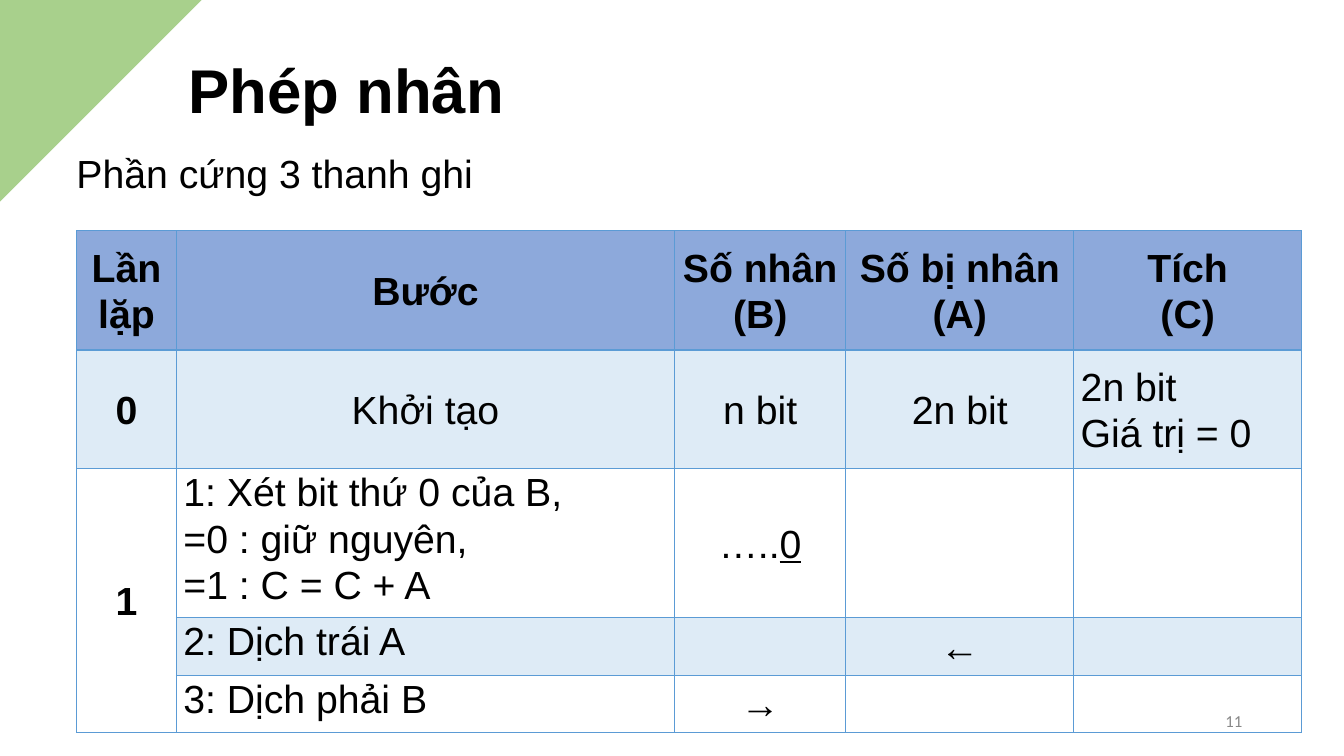
"""Build the slide on multiplication with three registers."""
from dataclasses import dataclass

from lxml import etree
from pptx import Presentation, dml, util as u
from pptx.dml import color
from pptx.enum import text
from pptx.oxml import ns

ALIGN = text.PP_ALIGN
ANCHOR = text.MSO_ANCHOR


@dataclass(frozen=True)
class Theme:
    font: str = "Arial"
    number_font: str = "Calibri"
    ink: str = "000000"
    muted: str = "888888"
    corner: str = "A8D08C"
    header: str = "8DA9DB"
    accent: str = "5B9BD5"
    band_opacity: int = 20
    title_size: float = 44.1
    body_size: float = 28
    number_size: float = 12


@dataclass(frozen=True)
class Entry:
    words: str = ""
    bold: bool = False
    underlined: str = ""
    align: ALIGN = ALIGN.CENTER
    anchor: ANCHOR = ANCHOR.MIDDLE


@dataclass(frozen=True)
class Row:
    height: float
    entries: tuple[Entry, ...]
    fill: str = ""
    opacity: int = 100


THEME = Theme()


def heading(words: str) -> Entry:
    return Entry(words, bold=True)


def step(words: str) -> Entry:
    return Entry(words, align=ALIGN.JUSTIFY, anchor=ANCHOR.TOP)


BLANK = Entry()
COLUMNS = (0.99, 4.94, 1.7, 2.26, 2.26)
ROWS = (
    Row(1.18, (heading("Lần lặp"), heading("Bước"), heading("Số nhân (B)"),
               heading("Số bị nhân\n(A)"), heading("Tích\n(C)")), THEME.header),
    Row(1.18, (heading("0"), Entry("Khởi tạo"), Entry("n bit"), Entry("2n bit"),
               Entry("2n bit\nGiá trị = 0", align=ALIGN.JUSTIFY)),
        THEME.accent, THEME.band_opacity),
    Row(1.48, (heading("1"),
               step("1: Xét bit thứ 0 của B,\n=0 : giữ nguyên,\n=1 : C = C + A"),
               Entry("…..", underlined="0"), BLANK, BLANK)),
    Row(0.57, (BLANK, step("2: Dịch trái A"), BLANK, Entry("←"), BLANK),
        THEME.accent, THEME.band_opacity),
    Row(0.57, (BLANK, step("3: Dịch phải B"), Entry("→"), BLANK, BLANK)),
)


def write(frame, words: str, *, size: float = THEME.body_size, font: str = THEME.font,
          ink: str = THEME.ink, bold: bool = False, underlined: str = "",
          align: ALIGN = ALIGN.LEFT, spacing: float = 1.0) -> None:
    frame.word_wrap = True
    for index, line in enumerate(words.split("\n")):
        para = frame.add_paragraph() if index else frame.paragraphs[0]
        para.alignment = align
        para.line_spacing = spacing
        for part in filter(None, (line, underlined)):
            span = para.add_run()
            span.text = part
            span.font.name = font
            span.font.size = u.Pt(size)
            span.font.bold = bold
            span.font.underline = part == underlined
            span.font.color.rgb = color.RGBColor.from_string(ink)


def add_label(page, left: float, top: float, width: float, height: float,
              words: str, anchor: ANCHOR = ANCHOR.TOP, **style) -> None:
    box = page.shapes.add_textbox(*map(u.Inches, (left, top, width, height)))
    box.text_frame.vertical_anchor = anchor
    write(box.text_frame, words, **style)


def add_corner(page) -> None:
    builder = page.shapes.build_freeform(-0.05, -0.05, scale=u.Inches(1))
    builder.add_line_segments([(-0.05, 1.83), (1.67, -0.05)], close=True)
    corner = builder.convert_to_shape()
    corner.shadow.inherit = False
    corner.fill.solid()
    corner.fill.fore_color.rgb = color.RGBColor.from_string(THEME.corner)
    corner.line.fill.background()


def set_borders(cell, top: float, bottom: float) -> None:
    properties = cell._tc.get_or_add_tcPr()
    for side, points in (("L", 1), ("R", 1), ("T", top), ("B", bottom)):
        line = etree.SubElement(properties, ns.qn(f"a:ln{side}"), w=str(u.Pt(points)))
        paint = etree.SubElement(line, ns.qn("a:solidFill"))
        etree.SubElement(paint, ns.qn("a:srgbClr"), val=THEME.accent)


def set_fill(cell, row: Row) -> None:
    if not row.fill:
        cell.fill.background()
        return
    cell.fill.solid()
    cell.fill.fore_color.rgb = color.RGBColor.from_string(row.fill)
    if row.opacity < 100:
        paint = cell._tc.tcPr.find(ns.qn("a:solidFill")).find(ns.qn("a:srgbClr"))
        etree.SubElement(paint, ns.qn("a:alpha"), val=str(row.opacity * 1000))


def add_steps_table(page) -> None:
    size = (sum(COLUMNS), sum(row.height for row in ROWS))
    frame = page.shapes.add_table(len(ROWS), len(COLUMNS),
                                  *map(u.Inches, (0.76, 2.29, *size)))
    table = frame.table
    table.first_row = table.horz_banding = False
    for column, width in zip(table.columns, COLUMNS):
        column.width = u.Inches(width)
    for r, row in enumerate(ROWS):
        table.rows[r].height = u.Inches(row.height)
        for c, entry in enumerate(row.entries):
            cell = table.cell(r, c)
            set_borders(cell, top=2 if r == 1 else 1, bottom=2 if r == 0 else 1)
            set_fill(cell, row)
            cell.margin_left = cell.margin_right = u.Inches(0.07)
            cell.margin_top = cell.margin_bottom = 0
            cell.vertical_anchor = entry.anchor
            if entry.words:
                write(cell.text_frame, entry.words, bold=entry.bold,
                      underlined=entry.underlined, align=entry.align, spacing=1.06)
    table.cell(2, 0).merge(table.cell(4, 0))


def add_title(page, words: str) -> None:
    title = page.shapes.title
    title.left, title.top, title.width, title.height = map(
        u.Inches, (1.77, 0.61, 10.11, 1.23))
    title.text_frame.vertical_anchor = ANCHOR.TOP
    write(title.text_frame, words, size=THEME.title_size, bold=True, spacing=0.8)


def main() -> None:
    deck = Presentation()
    deck.slide_width, deck.slide_height = u.Inches(13.33), u.Inches(7.5)
    page = deck.slides.add_slide(deck.slide_layouts[5])
    add_steps_table(page)
    add_title(page, "Phép nhân")
    add_label(page, 0.66, 1.43, 4.18, 0.57, "Phần cứng 3 thanh ghi")
    add_corner(page)
    add_label(page, 9.42, 6.95, 3, 0.4, "11", ANCHOR.MIDDLE, size=THEME.number_size,
              font=THEME.number_font, ink=THEME.muted, align=ALIGN.RIGHT)
    deck.save("out.pptx")


if __name__ == "__main__":
    main()
